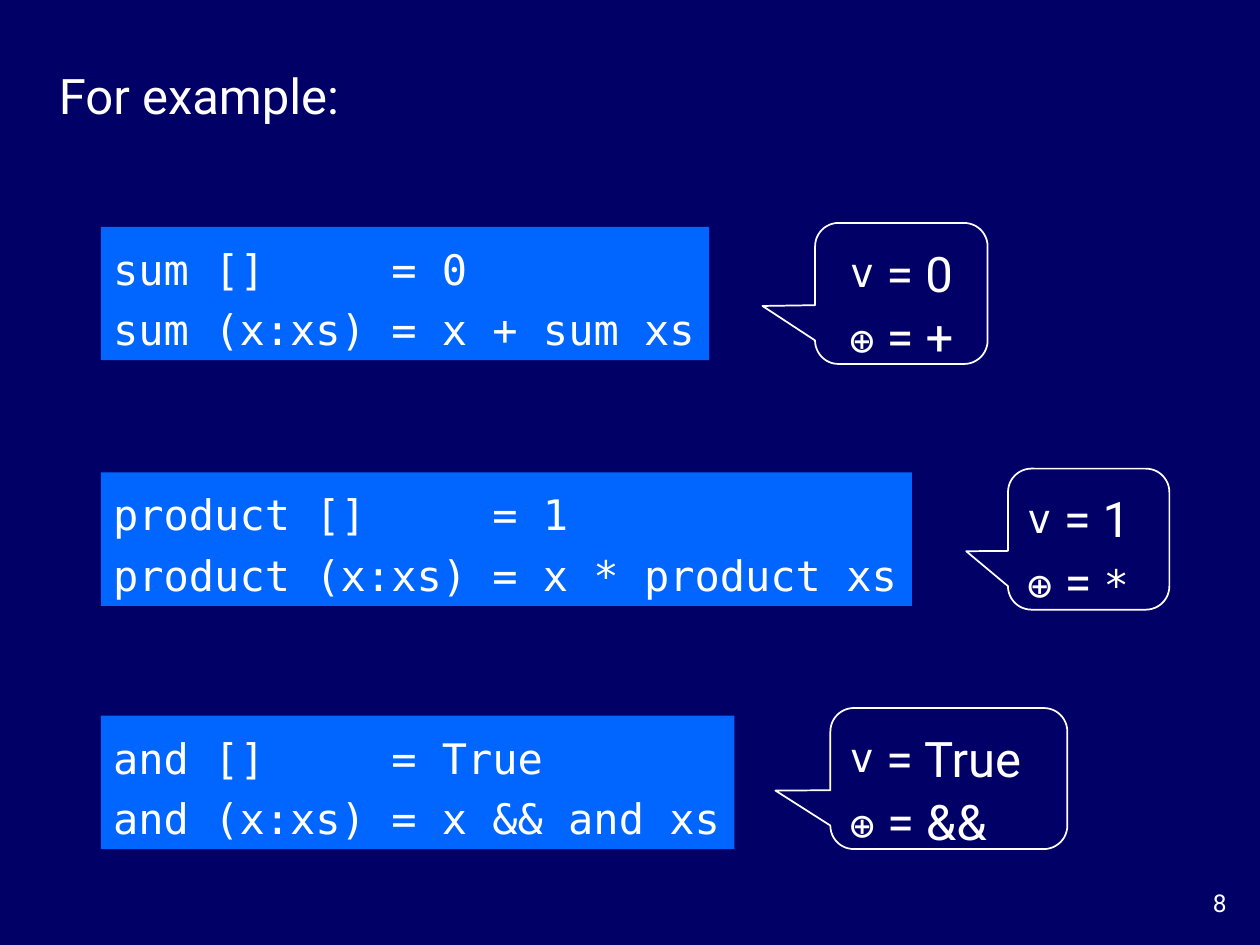
from pptx import Presentation
from pptx.dml.color import RGBColor
from pptx.enum.shapes import MSO_SHAPE as SHAPE
from pptx.enum.text import MSO_ANCHOR as ANCHOR, MSO_AUTO_SIZE as AUTO, PP_ALIGN as ALIGN
from pptx.util import Pt

NAVY = RGBColor(0x00, 0x00, 0x66)
BLUE = RGBColor(0x00, 0x66, 0xFF)
WHITE = RGBColor(0xFF, 0xFF, 0xFF)
SANS, MONO = "Roboto", "DejaVu Sans Mono"

# Content: code with its top; callout with box (left, top, width), pointer and values
EXAMPLES = [
    {"code": ["sum []     = 0", "sum (x:xs) = x + sum xs"], "top": 129.6,
     "box": (465.8, 127.4, 98.6), "pointer": (-0.805, 0.089), "align": ALIGN.CENTER,
     "unit": " = 0", "operator": [(" = +", SANS, 28)]},
    {"code": ["product []     = 1", "product (x:xs) = x * product xs"], "top": 270,
     "box": (576, 267.8, 92.2), "pointer": (-0.759, 0.086), "align": ALIGN.LEFT,
     "unit": " = 1", "operator": [(" = ", SANS, 28), ("*", MONO, 24)]},
    {"code": ["and []     = True", "and (x:xs) = x && and xs"], "top": 409,
     "box": (474.5, 404.6, 135.4), "pointer": (-0.732, 0.085), "align": ALIGN.LEFT,
     "unit": " = True", "operator": [(" = &&", SANS, 28)]},
]
CODE_LEFT, CODE_HEIGHT, CALLOUT_HEIGHT = 57.6, 76.3, 80.6
CHAR_WIDTH, SIDE_INSETS = 14.49, 14.4


def set_font(font, name, size):
    font.name, font.size, font.color.rgb = name, Pt(size), WHITE


def add_label(slide, text, box, size, align=ALIGN.LEFT):
    tf = slide.shapes.add_textbox(*map(Pt, box)).text_frame
    tf.word_wrap = True
    p = tf.paragraphs[0]
    p.text, p.alignment = text, align
    set_font(p.font, SANS, size)
    return tf


def add_box(slide, kind, box):
    sp = slide.shapes.add_shape(kind, *map(Pt, box))
    sp.shadow.inherit = False
    tf = sp.text_frame
    tf.word_wrap = False
    tf.auto_size = AUTO.SHAPE_TO_FIT_TEXT
    tf.vertical_anchor = ANCHOR.MIDDLE
    tf.add_paragraph()
    return sp


def add_code(slide, lines, top):
    width = CHAR_WIDTH * max(map(len, lines)) + SIDE_INSETS
    sp = add_box(slide, SHAPE.RECTANGLE, (CODE_LEFT, top, width, CODE_HEIGHT))
    sp.fill.solid()
    sp.fill.fore_color.rgb = BLUE
    sp.line.fill.background()
    for p, line in zip(sp.text_frame.paragraphs, lines):
        p.text, p.alignment, p.line_spacing = line, ALIGN.LEFT, 1.2
        set_font(p.font, MONO, 24)


def add_callout(slide, example):
    sp = add_box(slide, SHAPE.ROUNDED_RECTANGULAR_CALLOUT, (*example["box"], CALLOUT_HEIGHT))
    sp.fill.background()
    sp.line.color.rgb, sp.line.width = WHITE, Pt(1)
    sp.adjustments[0], sp.adjustments[1] = example["pointer"]
    lines = [[("v", MONO, 40), (example["unit"], SANS, 28)],
             [("⊕", MONO, 24), *example["operator"]]]
    for p, runs in zip(sp.text_frame.paragraphs, lines):
        p.alignment = example["align"]
        for text, name, size in runs:
            r = p.add_run()
            r.text = text
            set_font(r.font, name, size)
    # The v is slightly raised
    v = sp.text_frame.paragraphs[0].runs[0]
    v._r.get_or_add_rPr().set("baseline", "6000")


def main():
    prs = Presentation()
    prs.slide_width, prs.slide_height = Pt(720), Pt(540)
    slide = prs.slides.add_slide(prs.slide_layouts[6])
    slide.background.fill.solid()
    slide.background.fill.fore_color.rgb = NAVY

    # Page number and title
    add_label(slide, "8", (660, 504, 48, 24), 14, ALIGN.RIGHT)
    title = add_label(slide, "For example:", (26.6, 33.8, 638, 41), 28)
    title.vertical_anchor = ANCHOR.MIDDLE
    title.auto_size = AUTO.SHAPE_TO_FIT_TEXT

    # Each definition with its callout
    for example in EXAMPLES:
        add_code(slide, example["code"], example["top"])
        add_callout(slide, example)

    prs.save("out.pptx")


if __name__ == "__main__":
    main()
